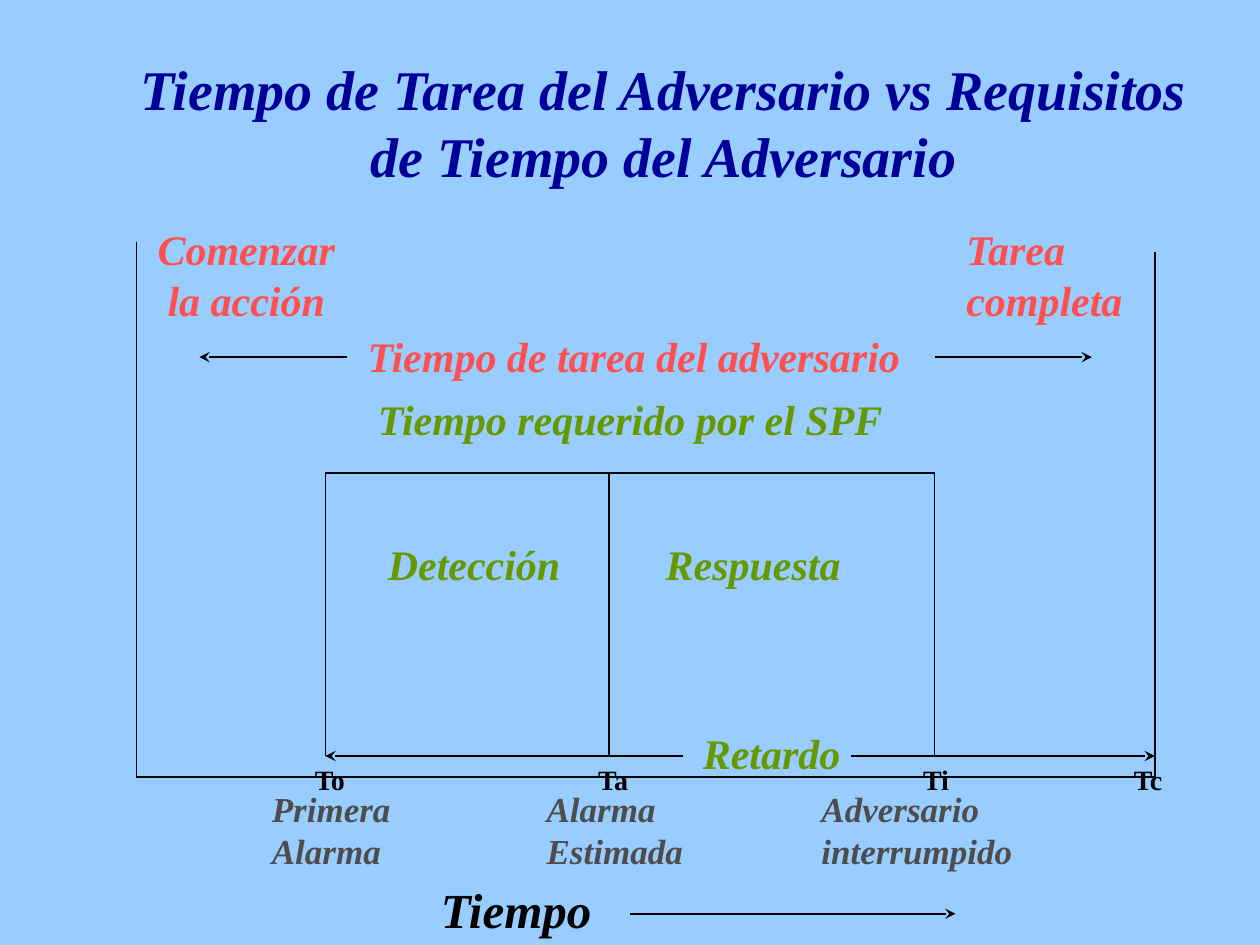
"""Build the slide comparing adversary task time with required protection time."""
from dataclasses import dataclass

from lxml import etree
from pptx import Presentation
from pptx.dml.color import RGBColor
from pptx.enum.shapes import MSO_CONNECTOR
from pptx.enum.text import MSO_ANCHOR, MSO_AUTO_SIZE, PP_ALIGN
from pptx.oxml.ns import qn
from pptx.util import Cm, Pt

LEFT, CENTER = PP_ALIGN.LEFT, PP_ALIGN.CENTER
TOP, FIXED = MSO_ANCHOR.TOP, MSO_AUTO_SIZE.NONE
STRAIGHT = MSO_CONNECTOR.STRAIGHT
TITLE_ONLY = 5


@dataclass(frozen=True)
class Theme:
    """Colours, font and type sizes of the slide."""
    font: str = "Times New Roman"
    background: str = "99CCFF"
    title: str = "000099"
    adversary: str = "FF5050"
    protection: str = "669900"
    event: str = "4D4D4D"
    ink: str = "000000"
    title_size: int = 32
    axis_size: int = 28
    label_size: int = 24
    event_size: int = 20
    mark_size: int = 16
    line_width: float = 1


THEME = Theme()
START, FIRST_ALARM, ASSESSED, INTERRUPTED, COMPLETE = 2.75, 6.56, 12.28, 18.84, 23.28
FRAME_TOP, DELAY_Y, AXIS_Y, TASK_Y, TIME_Y = 9.53, 15.24, 15.66, 7.2, 18.42


def add_tabs(paragraph, stops):
    """Set left tab stops, in centimetres, on a paragraph."""
    tab_list = etree.SubElement(paragraph._p.get_or_add_pPr(), qn("a:tabLst"))
    for stop in stops:
        etree.SubElement(tab_list, qn("a:tab"), pos=str(Cm(stop)), algn="l")


def write(box, text, color, size=THEME.label_size, italic=True, align=LEFT, tabs=(), wrap=False):
    """Fill a shape with one formatted paragraph per line of text."""
    frame = box.text_frame
    frame.word_wrap, frame.auto_size, frame.vertical_anchor = wrap, FIXED, TOP
    for index, line in enumerate(text.split("\n")):
        para = frame.add_paragraph() if index else frame.paragraphs[0]
        para.alignment = align
        if tabs:
            add_tabs(para, tabs)
        span = para.add_run()
        span.text = line
        font = span.font
        font.name, font.size, font.bold, font.italic = THEME.font, Pt(size), True, italic
        font.color.rgb = RGBColor.from_string(color)


def add_label(page, text, left, top, width, height, color, **style):
    """Add a text box with formatted text."""
    box = page.shapes.add_textbox(Cm(left), Cm(top), Cm(width), Cm(height))
    write(box, text, color, **style)


def add_title(page, text):
    """Place and format the title placeholder."""
    title = page.shapes.title
    title.left, title.top, title.width, title.height = Cm(2.49), Cm(0.97), Cm(21.79), Cm(2.97)
    write(title, text, THEME.title, size=THEME.title_size, align=CENTER)


def add_line(page, x1, y1, x2, y2, arrow=False):
    """Draw a straight line, with an arrowhead at its end if wanted."""
    line = page.shapes.add_connector(STRAIGHT, Cm(x1), Cm(y1), Cm(x2), Cm(y2))
    line.line.color.rgb = RGBColor.from_string(THEME.ink)
    line.line.width = Pt(THEME.line_width)
    if arrow:
        etree.SubElement(line.line._get_or_add_ln(), qn("a:tailEnd"), type="stealth")
    etree.SubElement(line._element.spPr, qn("a:effectLst"))


def add_diagram_lines(page):
    """Draw the time axis, the protection frame and the arrows."""
    add_line(page, START, AXIS_Y, COMPLETE, AXIS_Y)
    add_line(page, START, 4.87, START, AXIS_Y)
    add_line(page, COMPLETE, 5.08, COMPLETE, AXIS_Y)
    add_line(page, FIRST_ALARM, FRAME_TOP, INTERRUPTED, FRAME_TOP)
    for x in (FIRST_ALARM, ASSESSED, INTERRUPTED):
        add_line(page, x, FRAME_TOP, x, DELAY_Y)
    for start, end, y in (
        (13.76, FIRST_ALARM, DELAY_Y),
        (17.15, COMPLETE, DELAY_Y),
        (6.99, 4.02, TASK_Y),
        (INTERRUPTED, 22.01, TASK_Y),
        (12.7, 19.26, TIME_Y),
    ):
        add_line(page, start, y, end, y, arrow=True)


def add_diagram_labels(page):
    """Write the labels of phases, events and time marks."""
    add_label(page, "Comenzar\nla acción", 2.92, 4.39, 4.09, 2.29, THEME.adversary, align=CENTER)
    add_label(page, "Tarea\ncompleta", 19.23, 4.39, 3.66, 2.29, THEME.adversary)
    add_label(page, "Tiempo de tarea del adversario", 7.16, 6.53, 11.28, 1.27, THEME.adversary)
    add_label(page, "Tiempo requerido por el SPF", 7.37, 7.8, 10.72, 1.27, THEME.protection)
    add_label(page, "Detección\tRespuesta", 7.57, 10.74, 10, 1.27, THEME.protection,
              tabs=(5.6,), wrap=True)
    add_label(page, "Retardo", 13.92, 14.55, 3.28, 1.27, THEME.protection)
    add_label(page, "Primera\tAlarma\tAdversario\nAlarma\tEstimada\tinterrumpido",
              5.23, 15.75, 15.49, 1.96, THEME.event,
              size=THEME.event_size, tabs=(5.54, 11.08), wrap=True)
    for mark, left in (("To", 6.1), ("Ta", 11.81), ("Ti", 18.36), ("Tc", 22.61)):
        add_label(page, mark, left, DELAY_Y, 1.15, 0.94, THEME.ink,
                  size=THEME.mark_size, italic=False)
    add_label(page, "Tiempo", 8.64, 17.6, 3.58, 1.45, THEME.ink, size=THEME.axis_size)


def main():
    """Build and save the deck."""
    deck = Presentation()
    deck.slide_width, deck.slide_height = Cm(25.4), Cm(19.05)
    page = deck.slides.add_slide(deck.slide_layouts[TITLE_ONLY])
    page.background.fill.solid()
    page.background.fill.fore_color.rgb = RGBColor.from_string(THEME.background)
    add_title(page, "Tiempo de Tarea del Adversario vs Requisitos\nde Tiempo del Adversario")
    add_diagram_lines(page)
    add_diagram_labels(page)
    deck.save("out.pptx")


if __name__ == "__main__":
    main()
